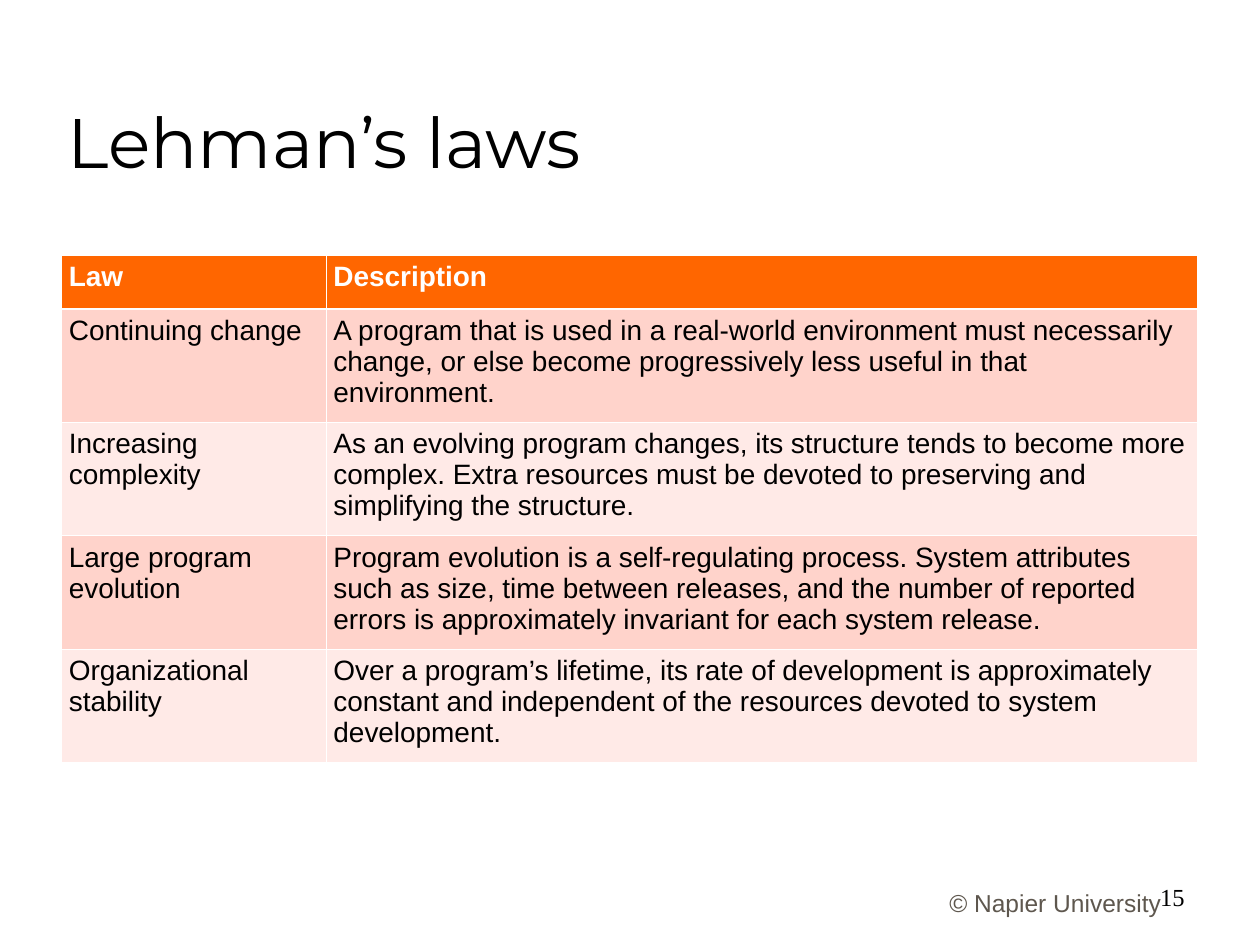
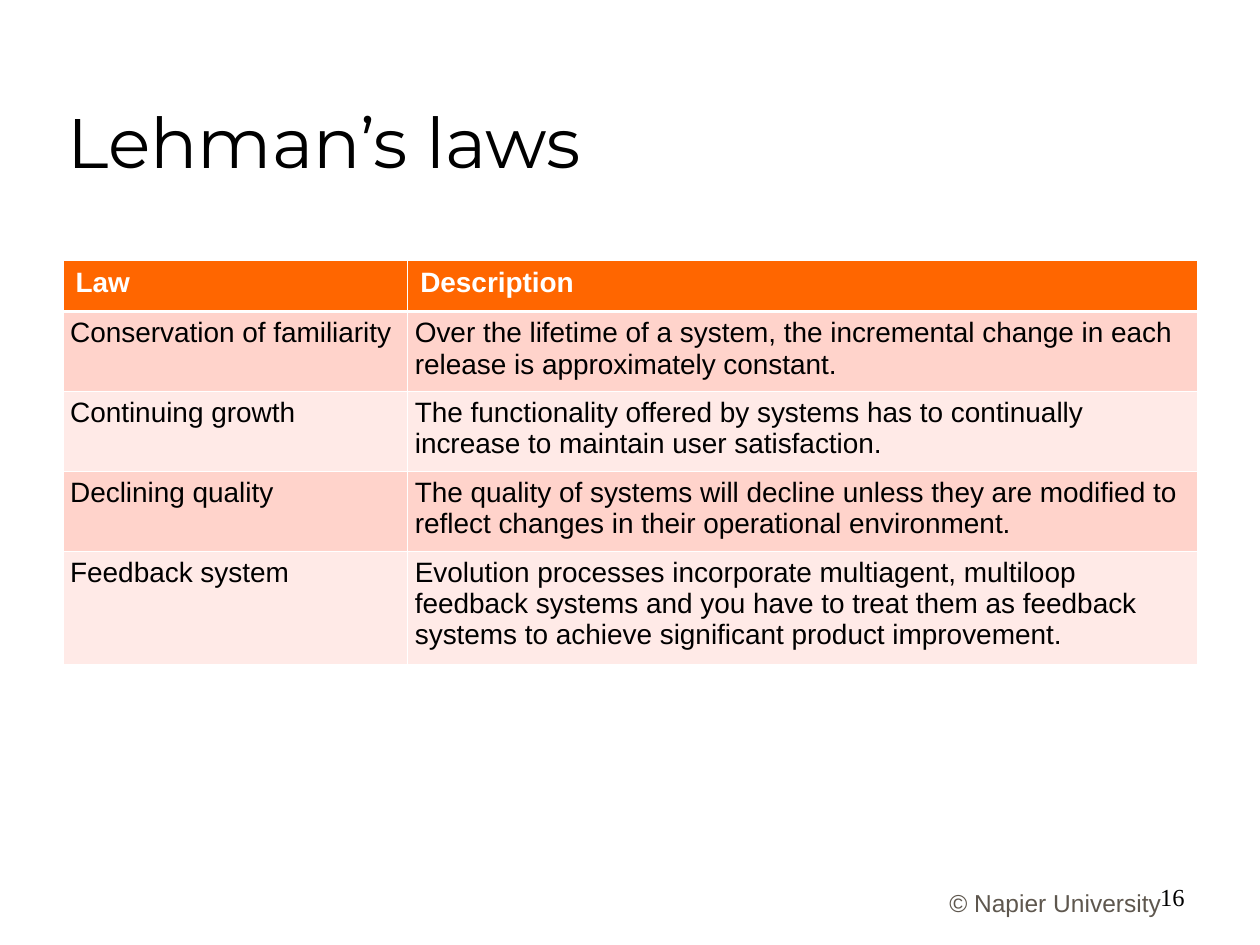
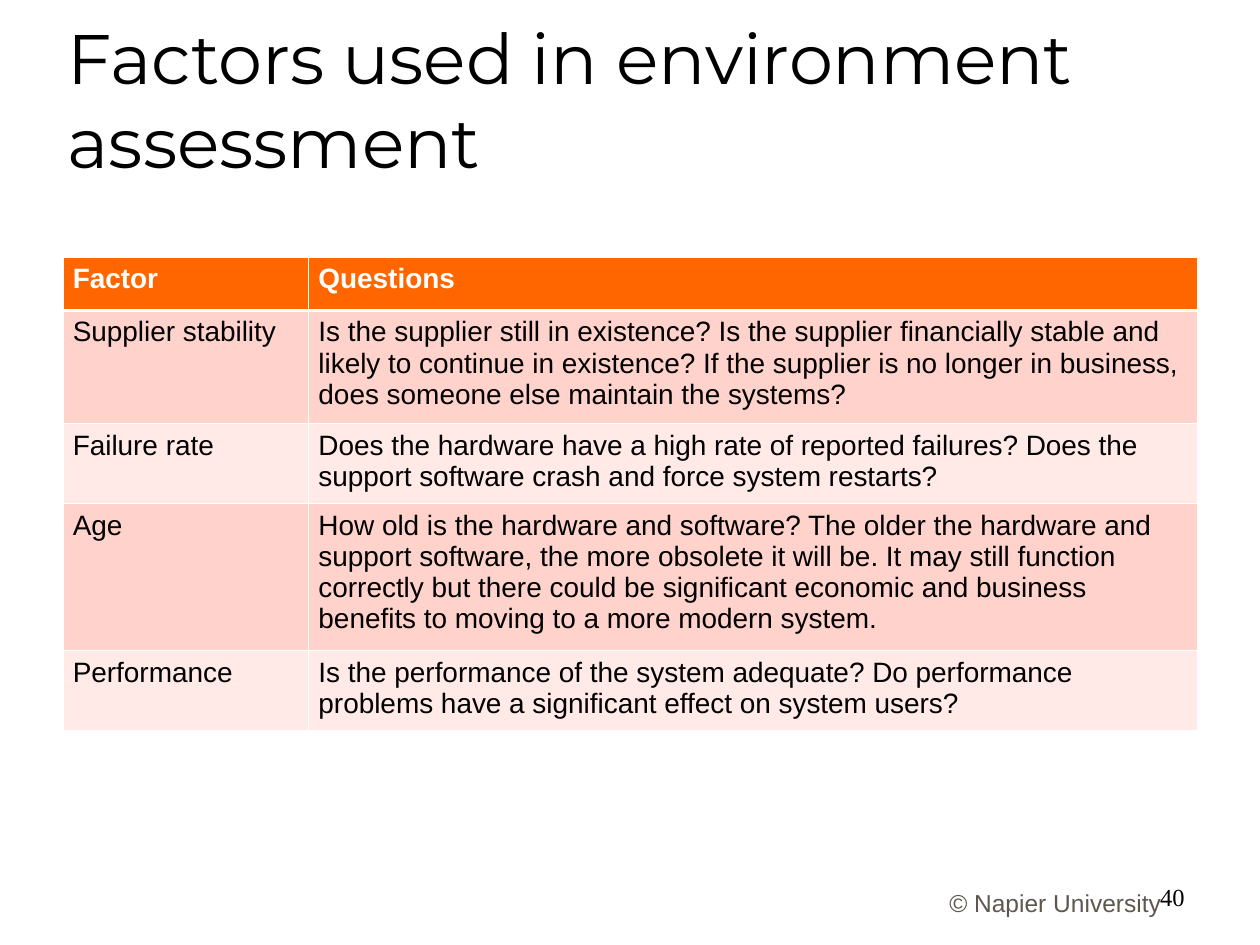
from dataclasses import dataclass

from lxml import etree
from pptx import Presentation
from pptx.dml.color import RGBColor
from pptx.enum.text import MSO_ANCHOR, MSO_AUTO_SIZE, PP_ALIGN
from pptx.oxml.ns import qn
from pptx.util import Pt

LEFT, CENTER, RIGHT = PP_ALIGN.LEFT, PP_ALIGN.CENTER, PP_ALIGN.RIGHT
TOP, BOTTOM = MSO_ANCHOR.TOP, MSO_ANCHOR.BOTTOM
NO_AUTOFIT = MSO_AUTO_SIZE.NONE
TITLE_ONLY = 5


@dataclass(frozen=True)
class Theme:
    white: str = "FFFFFF"
    black: str = "000000"
    footer: str = "5E574E"
    header: str = "FF6600"
    bands: tuple = ("FFD3CB", "FFEAE7")
    title_font: str = "Montserrat"
    body_font: str = "Arial"
    number_font: str = "Times New Roman"
    title_size: int = 40
    table_size: int = 16
    footer_size: int = 14
    thin_line: float = 0.45
    header_line: float = 1.47


def set_attributes(target, values):
    for name, value in values.items():
        setattr(target, name, value)


class Deck:
    def __init__(self, theme):
        self.theme = theme
        self.slide = None
        self.presentation = Presentation()
        set_attributes(self.presentation, {"slide_width": Pt(720), "slide_height": Pt(540)})

    def add_slide(self, title, number):
        theme = self.theme
        layout = self.presentation.slide_layouts[TITLE_ONLY]
        self.slide = self.presentation.slides.add_slide(layout)
        self.add_title(title)
        self.add_text("© Napier University", (504, 504, 198, 24.5), CENTER,
                      theme.body_font, theme.footer)
        self.add_text(str(number), (516, 500.4, 168, 28.8), RIGHT,
                      theme.number_font, theme.black)

    def fill_text(self, text_frame, text, font, size, color, bold=False, align=LEFT):
        text_frame.text = text
        paragraph = text_frame.paragraphs[0]
        paragraph.alignment = align
        set_attributes(paragraph.font, {"name": font, "size": Pt(size), "bold": bold})
        paragraph.font.color.rgb = RGBColor.from_string(color)
        return paragraph

    def add_title(self, text):
        theme = self.theme
        title = self.slide.shapes.title
        set_attributes(title, {"left": Pt(31.5), "top": Pt(18),
                               "width": Pt(612), "height": Pt(90)})
        set_attributes(title.text_frame, {"vertical_anchor": BOTTOM, "word_wrap": True,
                                          "auto_size": NO_AUTOFIT})
        self.fill_text(title.text_frame, text, theme.title_font, theme.title_size, theme.black)

    def add_text(self, text, box, align, font, color):
        shape = self.slide.shapes.add_textbox(*map(Pt, box))
        set_attributes(shape.text_frame, {"word_wrap": True, "vertical_anchor": TOP})
        self.fill_text(shape.text_frame, text, font, self.theme.footer_size, color, align=align)

    def add_table(self, rows, left, top, widths, heights, margin,
                  header_margin=None, header_space=6):
        frame = self.slide.shapes.add_table(
            len(rows), len(widths), Pt(left), Pt(top), Pt(sum(widths)), Pt(sum(heights)))
        table = frame.table
        table.horz_banding = False
        for column, width in zip(table.columns, widths):
            column.width = Pt(width)
        for row, height in zip(table.rows, heights):
            row.height = Pt(height)
        for row_index, texts in enumerate(rows):
            is_header = row_index == 0
            side = header_margin if is_header and header_margin else margin
            space = header_space if is_header else 6
            for column_index, text in enumerate(texts):
                cell = table.cell(row_index, column_index)
                self.format_cell(cell, text, row_index, side, space)

    def format_cell(self, cell, text, row_index, side, space):
        theme = self.theme
        is_header = row_index == 0
        fill = theme.header if is_header else theme.bands[(row_index - 1) % 2]
        color = theme.white if is_header else theme.black
        set_attributes(cell, {"margin_left": Pt(side), "margin_right": Pt(side),
                              "margin_top": Pt(3.6), "margin_bottom": Pt(3.6),
                              "vertical_anchor": TOP})
        self.add_borders(cell, row_index)
        cell.fill.solid()
        cell.fill.fore_color.rgb = RGBColor.from_string(fill)
        paragraph = self.fill_text(cell.text_frame, text, theme.body_font,
                                   theme.table_size, color, bold=is_header)
        paragraph.space_after = Pt(space)

    def add_borders(self, cell, row_index):
        properties = cell._tc.get_or_add_tcPr()
        thick_side = {0: "B", 1: "T"}.get(row_index)
        for side in "LRTB":
            width = self.theme.header_line if side == thick_side else self.theme.thin_line
            line = etree.SubElement(properties, qn(f"a:ln{side}"), w=str(Pt(width)))
            fill = etree.SubElement(line, qn("a:solidFill"))
            etree.SubElement(fill, qn("a:srgbClr"), val=self.theme.white)


LAWS_OF_CHANGE = [
    ("Law", "Description"),
    ("Continuing change",
     "A program that is used in a real-world environment must necessarily change, "
     "or else become progressively less useful in that environment."),
    ("Increasing complexity",
     "As an evolving program changes, its structure tends to become more complex. "
     "Extra resources must be devoted to preserving and simplifying the structure."),
    ("Large program evolution",
     "Program evolution is a self-regulating process. System attributes such as size, "
     "time between releases, and the number of reported errors is approximately "
     "invariant for each system release."),
    ("Organizational stability",
     "Over a program’s lifetime, its rate of development is approximately constant "
     "and independent of the resources devoted to system development."),
]

LAWS_OF_GROWTH = [
    ("Law", "Description"),
    ("Conservation of familiarity",
     "Over the lifetime of a system, the incremental change in each release is "
     "approximately constant."),
    ("Continuing growth",
     "The functionality offered by systems has to continually increase to maintain "
     "user satisfaction."),
    ("Declining quality",
     "The quality of systems will decline unless they are modified to reflect changes "
     "in their operational environment."),
    ("Feedback system",
     "Evolution processes incorporate multiagent, multiloop feedback systems and you "
     "have to treat them as feedback systems to achieve significant product improvement."),
]

ENVIRONMENT_FACTORS = [
    ("Factor", "Questions"),
    ("Supplier stability",
     "Is the supplier still in existence? Is the supplier financially stable and likely "
     "to continue in existence? If the supplier is no longer in business, does someone "
     "else maintain the systems?"),
    ("Failure rate",
     "Does the hardware have a high rate of reported failures? Does the support software "
     "crash and force system restarts?"),
    ("Age",
     "How old is the hardware and software? The older the hardware and support software, "
     "the more obsolete it will be. It may still function correctly but there could be "
     "significant economic and business benefits to moving to a more modern system."),
    ("Performance",
     "Is the performance of the system adequate? Do performance problems have a "
     "significant effect on system users?"),
]


def main():
    deck = Deck(Theme())

    deck.add_slide("Lehman’s laws", 15)
    deck.add_table(LAWS_OF_CHANGE, 35.3, 145.8, (151.2, 497.5),
                   (30.6, 63.4, 63.4, 63.4, 63.4), margin=4.1)

    deck.add_slide("Lehman’s laws", 16)
    deck.add_table(LAWS_OF_GROWTH, 36, 149, (197, 451),
                   (29, 44.1, 44.1, 44.1, 63.4), margin=4.1,
                   header_margin=7.2, header_space=0)

    deck.add_slide("Factors used in environment assessment", 40)
    deck.add_table(ENVIRONMENT_FACTORS, 36, 146.8, (140.4, 507.6),
                   (30.6, 63.4, 44.1, 82.8, 44.1), margin=5.6)

    deck.presentation.save("out.pptx")


if __name__ == "__main__":
    main()
